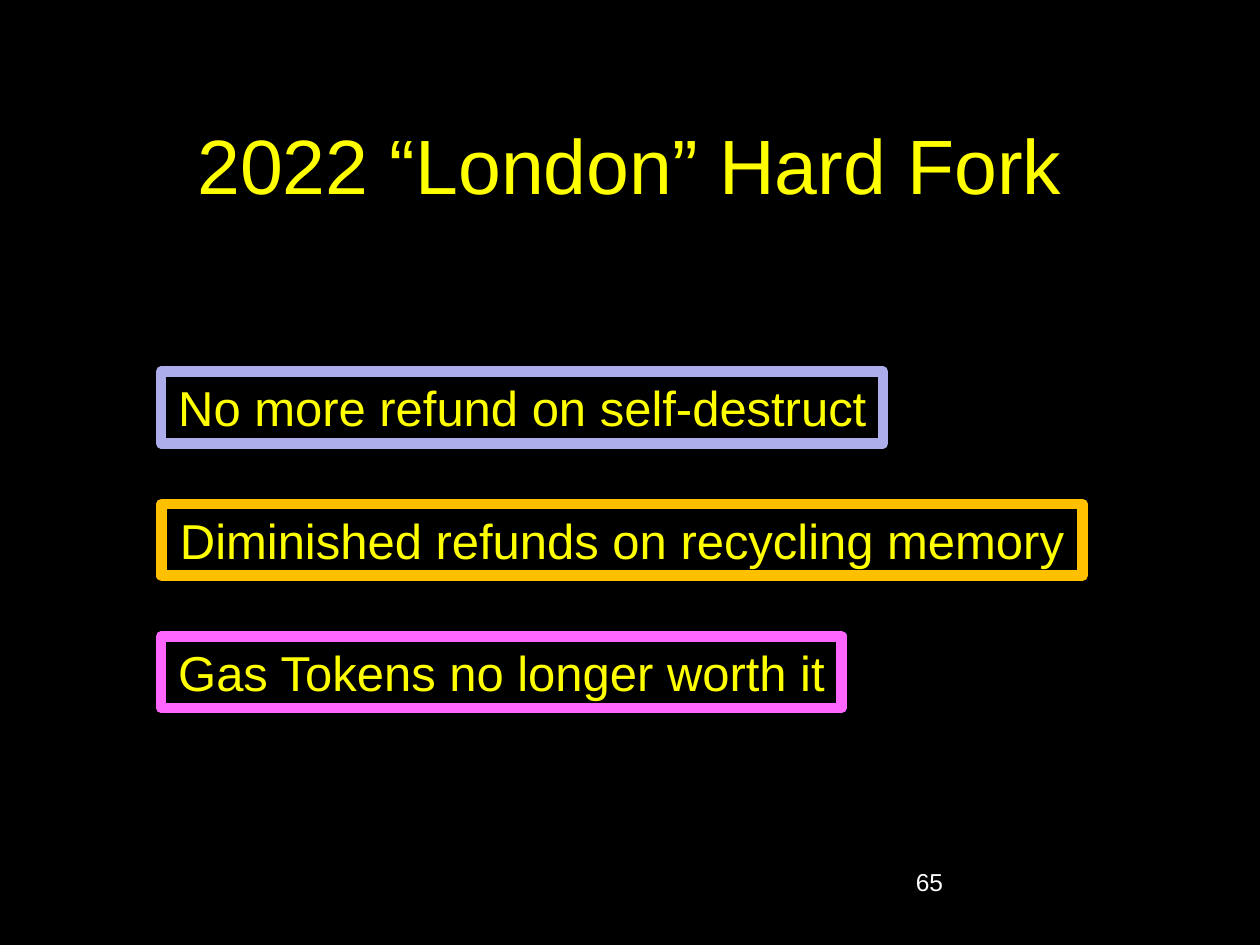
from pptx import Presentation
from pptx.dml.color import RGBColor
from pptx.enum.shapes import MSO_SHAPE
from pptx.enum.text import MSO_ANCHOR, PP_ALIGN
from pptx.util import Inches, Pt

RECT = MSO_SHAPE.RECTANGLE
TOP, MIDDLE = MSO_ANCHOR.TOP, MSO_ANCHOR.MIDDLE
LEFT, CENTER = PP_ALIGN.LEFT, PP_ALIGN.CENTER

BLACK = RGBColor(0x00, 0x00, 0x00)
WHITE = RGBColor(0xFF, 0xFF, 0xFF)
YELLOW = RGBColor(0xFF, 0xFF, 0x00)
LAVENDER = RGBColor(0xAD, 0xAD, 0xEB)
AMBER = RGBColor(0xFF, 0xC0, 0x00)
PINK = RGBColor(0xFF, 0x66, 0xFF)


class SlideBuilder:
    """Draws text and framed statements on one slide in a shared style."""

    font = "Arial"

    def __init__(self, s):
        self.s = s
        fill = s.background.fill
        fill.solid()
        fill.fore_color.rgb = BLACK

    def set_text(self, sp, text, size, color, align, anchor, wrap):
        tf = sp.text_frame
        tf.text = text
        tf.word_wrap = wrap
        tf.vertical_anchor = anchor
        p = tf.paragraphs[0]
        p.alignment = align
        r = p.runs[0]
        r.font.name = self.font
        r.font.size = Pt(size)
        r.font.color.rgb = color

    def text(self, x, y, w, h, text, size, color, align=LEFT, anchor=TOP):
        sp = self.s.shapes.add_textbox(Inches(x), Inches(y), Inches(w), Inches(h))
        self.set_text(sp, text, size, color, align, anchor, True)

    def framed(self, x, y, w, h, text, frame):
        sp = self.s.shapes.add_shape(RECT, Inches(x), Inches(y), Inches(w), Inches(h))
        sp.shadow.inherit = False
        sp.fill.solid()
        sp.fill.fore_color.rgb = BLACK
        sp.line.color.rgb = frame
        sp.line.width = Pt(6)
        self.set_text(sp, text, 28, YELLOW, CENTER, TOP, False)


def main():
    prs = Presentation()
    prs.slide_width, prs.slide_height = Inches(10), Inches(7.5)
    slide = SlideBuilder(prs.slides.add_slide(prs.slide_layouts[6]))

    slide.text(0.75, 0.67, 8.5, 1.25, "2022 “London” Hard Fork", 44, YELLOW, CENTER, MIDDLE)
    statements = [
        ("No more refund on self-destruct", 5.73, LAVENDER),
        ("Diminished refunds on recycling memory", 7.31, AMBER),
        ("Gas Tokens no longer worth it", 5.4, PINK),
    ]
    for i, (text, width, frame) in enumerate(statements):
        slide.framed(1.28, 2.95 + 1.05 * i, width, 0.57, text, frame)
    slide.text(7.17, 6.83, 2.08, 0.5, "65", 14, WHITE)

    prs.save("out.pptx")


if __name__ == "__main__":
    main()
